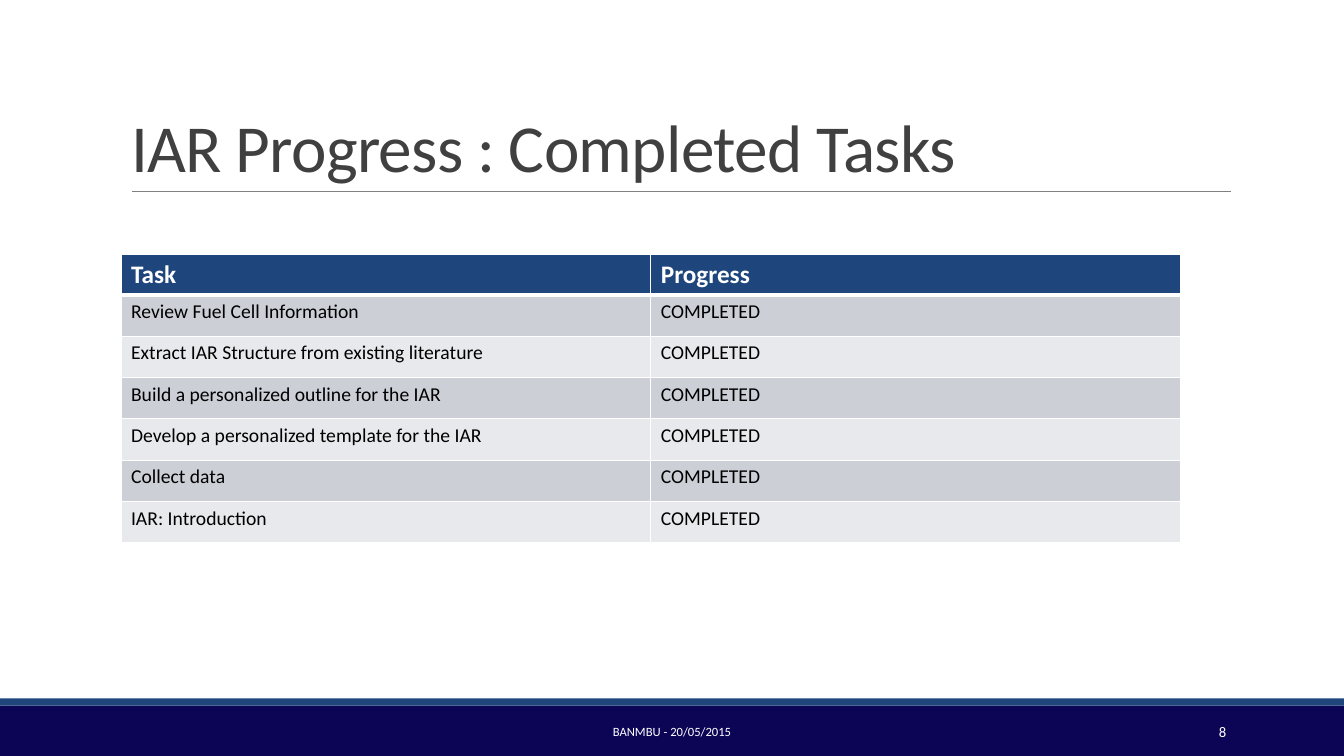
from lxml.etree import SubElement
from pptx import Presentation
from pptx.dml.color import RGBColor
from pptx.enum.shapes import MSO_CONNECTOR, MSO_SHAPE
from pptx.enum.text import MSO_ANCHOR as ANCHOR, PP_ALIGN as ALIGN
from pptx.oxml.ns import qn
from pptx.util import Inches, Pt

WHITE = RGBColor(0xFF, 0xFF, 0xFF)
BLACK = RGBColor(0, 0, 0)
NAVY = RGBColor(0x0C, 0x05, 0x55)
BLUE = RGBColor(0x1E, 0x46, 0x7C)
GRAY = RGBColor(0x80, 0x80, 0x80)
DARK = RGBColor(0x40, 0x40, 0x40)
BANDS = (RGBColor(0xCD, 0xCF, 0xD7), RGBColor(0xE8, 0xE9, 0xEC))

TASKS = (
    "Review Fuel Cell Information",
    "Extract IAR Structure from existing literature",
    "Build a personalized outline for the IAR",
    "Develop a personalized template for the IAR",
    "Collect data",
    "IAR: Introduction",
)


def write(tf, text, size, color, font="Calibri", bold=False, align=ALIGN.LEFT,
          line_spacing=1.0, char_spacing=None):
    """Put one formatted paragraph in a text frame."""
    p = tf.paragraphs[0]
    p.alignment, p.line_spacing = align, line_spacing
    r = p.add_run()
    r.text = text
    r.font.name, r.font.size, r.font.bold = font, Pt(size), bold
    r.font.color.rgb = color
    if char_spacing is not None:
        r.font._element.set("spc", str(int(char_spacing * 100)))


def set_border(cell, side, width, color=WHITE):
    """Draw a solid border on one side of a cell."""
    ln = SubElement(cell._tc.get_or_add_tcPr(), qn(f"a:ln{side}"), w=str(Pt(width)))
    SubElement(SubElement(ln, qn("a:solidFill")), qn("a:srgbClr"), val=str(color))


class SlideBuilder:
    """Hold the current slide and add styled elements to it."""

    def __init__(self, slide):
        self.slide = slide
        self.shapes = slide.shapes

    def bar(self, top, height, color):
        """Add a full-width band."""
        sp = self.shapes.add_shape(MSO_SHAPE.RECTANGLE, 0, Inches(top),
                                   Inches(13.33), Inches(height))
        sp.shadow.inherit = False
        sp.fill.solid()
        sp.fill.fore_color.rgb = color
        sp.line.fill.background()

    def rule(self, left, right, y):
        """Add a thin horizontal line."""
        line = self.shapes.add_connector(MSO_CONNECTOR.STRAIGHT, Inches(left),
                                         Inches(y), Inches(right), Inches(y))
        line.line.color.rgb, line.line.width = GRAY, Pt(0.5)
        SubElement(line._element.spPr, qn("a:effectLst"))

    def title(self, text, left, top, width, height):
        """Place and fill the title placeholder."""
        sp = self.shapes.title
        sp.left, sp.top = Inches(left), Inches(top)
        sp.width, sp.height = Inches(width), Inches(height)
        sp.text_frame.vertical_anchor = ANCHOR.BOTTOM
        write(sp.text_frame, text, 48, DARK, line_spacing=0.85, char_spacing=-0.5)

    def text(self, text, left, width, size, align):
        """Add a text box in the footer."""
        sp = self.shapes.add_textbox(Inches(left), Inches(7.06), Inches(width), Inches(0.4))
        tf = sp.text_frame
        tf.word_wrap, tf.vertical_anchor = True, ANCHOR.MIDDLE
        write(tf, text, size, WHITE, align=align)

    def table(self, rows, left, top, width, header_height, row_height):
        """Add a table with a header and alternating row fills."""
        height = header_height + row_height * (len(rows) - 1)
        tbl = self.shapes.add_table(len(rows), len(rows[0]), Inches(left), Inches(top),
                                    Inches(width), Inches(height)).table
        for i, row in enumerate(rows):
            header = i == 0
            tbl.rows[i].height = Inches(header_height if header else row_height)
            for j, value in enumerate(row):
                cell = tbl.cell(i, j)
                for side in "LRTB":
                    thick = (i, side) in ((0, "B"), (1, "T"))
                    set_border(cell, side, 3 if thick else 1)
                cell.fill.solid()
                cell.fill.fore_color.rgb = BLUE if header else BANDS[(i - 1) % 2]
                write(cell.text_frame, value, 18 if header else 14,
                      WHITE if header else BLACK, bold=header)


def main():
    """Build and save the slide."""
    prs = Presentation()
    prs.slide_width, prs.slide_height = Inches(13.33), Inches(7.5)
    s = SlideBuilder(prs.slides.add_slide(prs.slide_layouts[5]))
    s.bar(7, 0.5, NAVY)
    s.bar(6.93, 0.07, BLUE)
    s.rule(1.31, 12.21, 1.9)
    s.title("IAR Progress : Completed Tasks", 1.2, 0.31, 11, 1.59)
    rows = [("Task", "Progress")] + [(task, "COMPLETED") for task in TASKS]
    s.table(rows, 1.2, 2.52, 10.51, 0.4, 0.41)
    s.text("BANMBU - 20/05/2015", 4.03, 5.27, 9, ALIGN.CENTER)
    s.text("8", 10.83, 1.43, 10.5, ALIGN.RIGHT)
    prs.save("out.pptx")


main()
